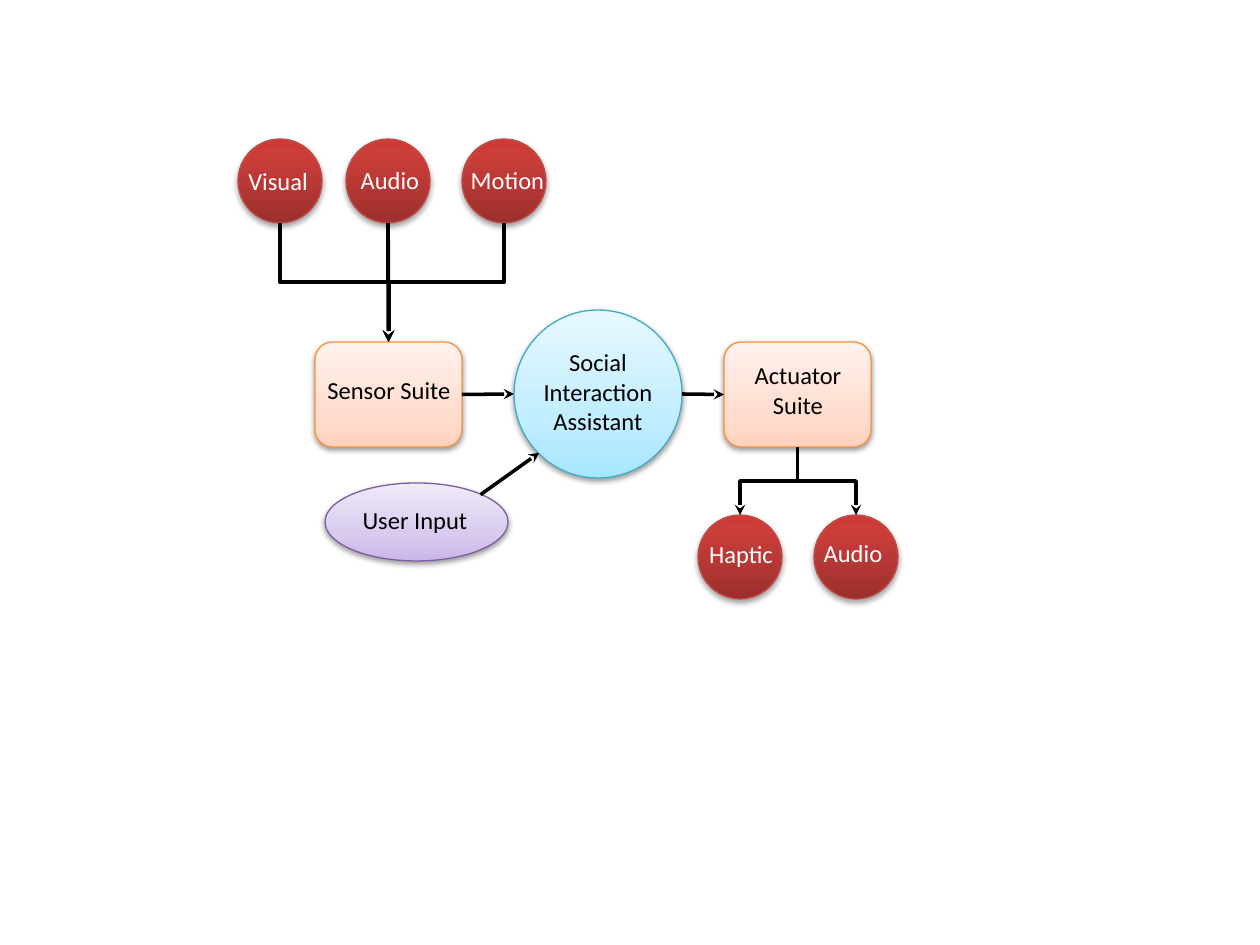
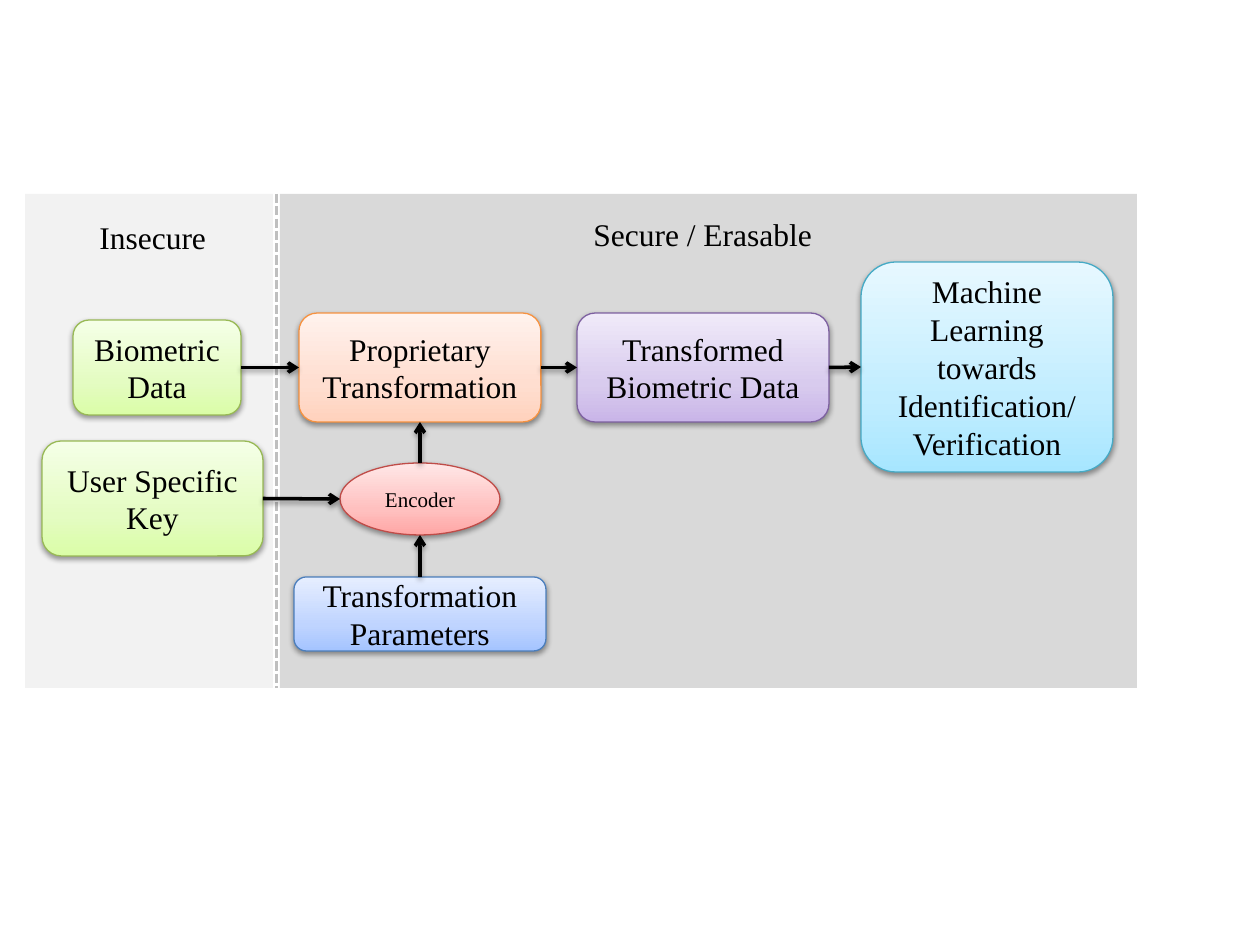
from lxml import etree
from pptx import Presentation
from pptx.dml.color import RGBColor
from pptx.enum.dml import MSO_LINE
from pptx.enum.shapes import MSO_CONNECTOR, MSO_SHAPE
from pptx.enum.text import MSO_ANCHOR, MSO_AUTO_SIZE, PP_ALIGN
from pptx.oxml.ns import qn
from pptx.util import Emu, Inches, Pt

SCALE = 914400 / 126  # EMU per pixel
ELLIPSE, ROUNDED, RECTANGLE = MSO_SHAPE.OVAL, MSO_SHAPE.ROUNDED_RECTANGLE, MSO_SHAPE.RECTANGLE
STRAIGHT, ELBOW = MSO_CONNECTOR.STRAIGHT, MSO_CONNECTOR.ELBOW
CENTER, LEFT = PP_ALIGN.CENTER, PP_ALIGN.LEFT
MIDDLE, TOP = MSO_ANCHOR.MIDDLE, MSO_ANCHOR.TOP
GROW, DASH = MSO_AUTO_SIZE.SHAPE_TO_FIT_TEXT, MSO_LINE.SQUARE_DOT

COLORS = {"black": "000000", "white": "FFFFFF", "divider": "BFBFBF",
          "insecure": "F2F2F2", "secure": "D9D9D9"}

# Each gradient runs from bottom to top: (percent, colour) stops, then the outline
GRADIENTS = {
    "crimson": ([(0, "9C2F2D"), (80, "CB3E3A"), (100, "CE3B37")], "BF4C48"),
    "sky": ([(0, "A7E6FF"), (35, "C1EDFF"), (100, "E7F8FF")], "46AAC5"),
    "peach": ([(0, "FFD2BD"), (35, "FFDED0"), (100, "FFF2ED")], "F69240"),
    "violet": ([(0, "C9B5E8"), (35, "D8CBEE"), (100, "F0EAF9")], "7D60A0"),
    "lime": ([(0, "DAFDA7"), (35, "E4FCC2"), (100, "F5FFE7")], "98B955"),
    "blue": ([(0, "A4C4FF"), (35, "BFD4FF"), (100, "E6EEFF")], "4B7EBC"),
    "rose": ([(0, "FFA6A5"), (35, "FFC0BF"), (100, "FFE7E7")], "BF4C48"),
}


def px(value):
    return Emu(round(value * SCALE))


def rgb(name):
    return RGBColor.from_string(COLORS.get(name, name))


def add_node(parent, tag, **attributes):
    return etree.SubElement(parent, qn(tag), {k: str(v) for k, v in attributes.items()})


def point(shape, across, down):
    """Point of a shape in pixels, at fractions of its width and height."""
    return ((shape.left + shape.width * across) / SCALE,
            (shape.top + shape.height * down) / SCALE)


def top(shape):
    return point(shape, 0.5, 0)


def bottom(shape):
    return point(shape, 0.5, 1)


def left(shape):
    return point(shape, 0, 0.5)


def right(shape):
    return point(shape, 1, 0.5)


class Diagram:
    def __init__(self, deck, font, size, arrowhead, arrow_shadow):
        self.page = deck.slides.add_slide(deck.slide_layouts[6])
        self.font, self.size = font, size
        self.arrowhead, self.arrow_shadow = arrowhead, arrow_shadow

    def shadow(self, effects, alpha=38, distance=20000):
        outer = add_node(effects, "a:outerShdw", blurRad=40000, dist=distance,
                         dir=5400000, rotWithShape=0)
        color = add_node(outer, "a:srgbClr", val=COLORS["black"])
        add_node(color, "a:alpha", val=alpha * 1000)

    def add_text(self, frame, text, color="black", size=None, align=CENTER):
        para = frame.paragraphs[0]
        para.alignment = align
        span = para.add_run()
        span.text = text
        span.font.name, span.font.size = self.font, Pt(size or self.size)
        span.font.color.rgb = rgb(color)

    def panel(self, x, y, width, height, color):
        shape = self.page.shapes.add_shape(RECTANGLE, px(x), px(y), px(width), px(height))
        shape.shadow.inherit = False
        shape.fill.solid()
        shape.fill.fore_color.rgb = rgb(color)
        shape.line.fill.background()

    def node(self, kind, x, y, width, height, gradient, text=None, size=None):
        shape = self.page.shapes.add_shape(kind, px(x), px(y), px(width), px(height))
        stops, outline = GRADIENTS[gradient]
        shape.fill.gradient()
        shape.fill.gradient_angle = 90
        properties = shape._element.spPr
        stop_list = properties.find(".//" + qn("a:gsLst"))
        for old in list(stop_list):
            stop_list.remove(old)
        for percent, color in stops:
            stop = add_node(stop_list, "a:gs", pos=percent * 1000)
            add_node(stop, "a:srgbClr", val=color)
        shape.line.color.rgb = rgb(outline)
        shape.line.width = Pt(0.75)
        shape.shadow.inherit = False
        effects = properties.find(qn("a:effectLst"))
        if gradient == "crimson":
            self.shadow(effects, 35, 23000)
        else:
            self.shadow(effects)
        if text:
            shape.text_frame.word_wrap = True
            shape.text_frame.vertical_anchor = MIDDLE
            self.add_text(shape.text_frame, text, size=size)
        return shape

    def label(self, x, y, width, height, text, color="black", wrap=True, align=CENTER):
        box = self.page.shapes.add_textbox(px(x), px(y), px(width), px(height))
        frame = box.text_frame
        frame.word_wrap, frame.auto_size = wrap, GROW
        frame.vertical_anchor = TOP
        self.add_text(frame, text, color, align=align)

    def connector(self, kind, start, end, color="black", width=2.0, dash=None):
        line = self.page.shapes.add_connector(kind, *map(px, (*start, *end)))
        line.line.color.rgb = rgb(color)
        line.line.width = Pt(width)
        if dash:
            line.line.dash_style = dash
        effects = add_node(line._element.spPr, "a:effectLst")
        return line, effects

    def add_head(self, line):
        add_node(line._element.spPr.find(qn("a:ln")), "a:tailEnd", type=self.arrowhead)

    def arrow(self, start, end, width=2.0):
        line, effects = self.connector(STRAIGHT, start, end, width=width)
        self.add_head(line)
        if self.arrow_shadow:
            self.shadow(effects)

    def elbow_down(self, start, end, width=2.0):
        """Down, across, down: a flat elbow turned a quarter about its centre."""
        (x1, y1), (x2, y2) = start, end
        center_x, center_y = (x1 + x2) / 2, (y1 + y2) / 2
        half_long, half_short = (y2 - y1) / 2, abs(x2 - x1) / 2
        if x2 > x1:
            half_long, turn = -half_long, 270  # begins at the right, so it is flipped
        else:
            turn = 90
        line, _ = self.connector(ELBOW, (center_x - half_long, center_y - half_short),
                                 (center_x + half_long, center_y + half_short), width=width)
        line._element.spPr.find(qn("a:xfrm")).set("rot", str(turn * 60000))
        self.add_head(line)


def build_assistant(deck):
    page = Diagram(deck, "Calibri", 14, "stealth", False)

    # Hub, inputs, suites and outputs
    assistant = page.node(ELLIPSE, 514, 310, 168, 168, "sky")
    visual, audio, motion = [page.node(ELLIPSE, x, 139, 84, 84, "crimson")
                             for x in (238, 346, 462)]
    sensor, actuator = [page.node(ROUNDED, x, 342, 147, 105, "peach") for x in (315, 724)]
    outputs = [page.node(ELLIPSE, x, 515, 84, 84, "crimson") for x in (698, 814)]
    user_input = page.node(ELLIPSE, 325, 483, 183, 78, "violet")

    # Flow
    for source in (visual, motion):
        page.elbow_down(bottom(source), top(sensor), 2.25)
    page.arrow(bottom(audio), top(sensor), 2.25)
    page.arrow(right(sensor), left(assistant))
    page.arrow(right(assistant), left(actuator))
    for output in outputs:
        page.elbow_down(bottom(actuator), top(output))
    page.arrow(point(user_input, 0.85, 0.15), point(assistant, 0.15, 0.85))

    # Labels
    for x, y, height, text in ((523, 341, 102, "Social Interaction Assistant"),
                               (314, 369, 43, "Sensor Suite"),
                               (723, 354, 72, "Actuator Suite"),
                               (340, 499, 43, "User Input")):
        page.label(x, y, 150, height, text)
    for x, y, width, text in ((231, 160, 94, "Visual"), (343, 159, 94, "Audio"),
                              (452, 159, 111, "Motion"), (694, 533, 94, "Haptic"),
                              (806, 532, 94, "Audio")):
        page.label(x, y, width, 43, text, "white")


def build_security(deck):
    page = Diagram(deck, "Times New Roman", 18, "arrow", True)

    # Zones
    page.connector(STRAIGHT, (277, 194), (277, 688), "divider", 1.75, DASH)
    page.panel(25, 194, 248, 494, "insecure")
    page.panel(280, 194, 857, 494, "secure")

    # Steps
    data = page.node(ROUNDED, 73, 320, 168, 95, "lime", "Biometric Data")
    transformation = page.node(ROUNDED, 299, 313, 242, 109, "peach",
                               "Proprietary Transformation")
    parameters = page.node(ROUNDED, 294, 577, 252, 74, "blue", "Transformation Parameters")
    encoder = page.node(ELLIPSE, 340, 463, 160, 72, "rose", "Encoder", 12)
    key = page.node(ROUNDED, 42, 441, 221, 115, "lime", "User Specific Key")
    transformed = page.node(ROUNDED, 577, 313, 252, 109, "violet",
                            "Transformed Biometric Data")
    learning = page.node(ROUNDED, 861, 262, 252, 210, "sky",
                         "Machine Learning towards Identification/ Verification")

    # Flow
    for lower, upper in ((parameters, encoder), (encoder, transformation)):
        page.arrow(top(lower), bottom(upper))
    for source, target in ((key, encoder), (data, transformation),
                           (transformation, transformed), (transformed, learning)):
        page.arrow(right(source), left(target))

    # Zone names
    page.label(581, 209, 247, 50, "Secure / Erasable", wrap=False, align=LEFT)
    page.label(87, 212, 134, 50, "Insecure", wrap=False, align=LEFT)


deck = Presentation()
deck.slide_width, deck.slide_height = Inches(10), Inches(7.5)
build_assistant(deck)
build_security(deck)
deck.save("out.pptx")
